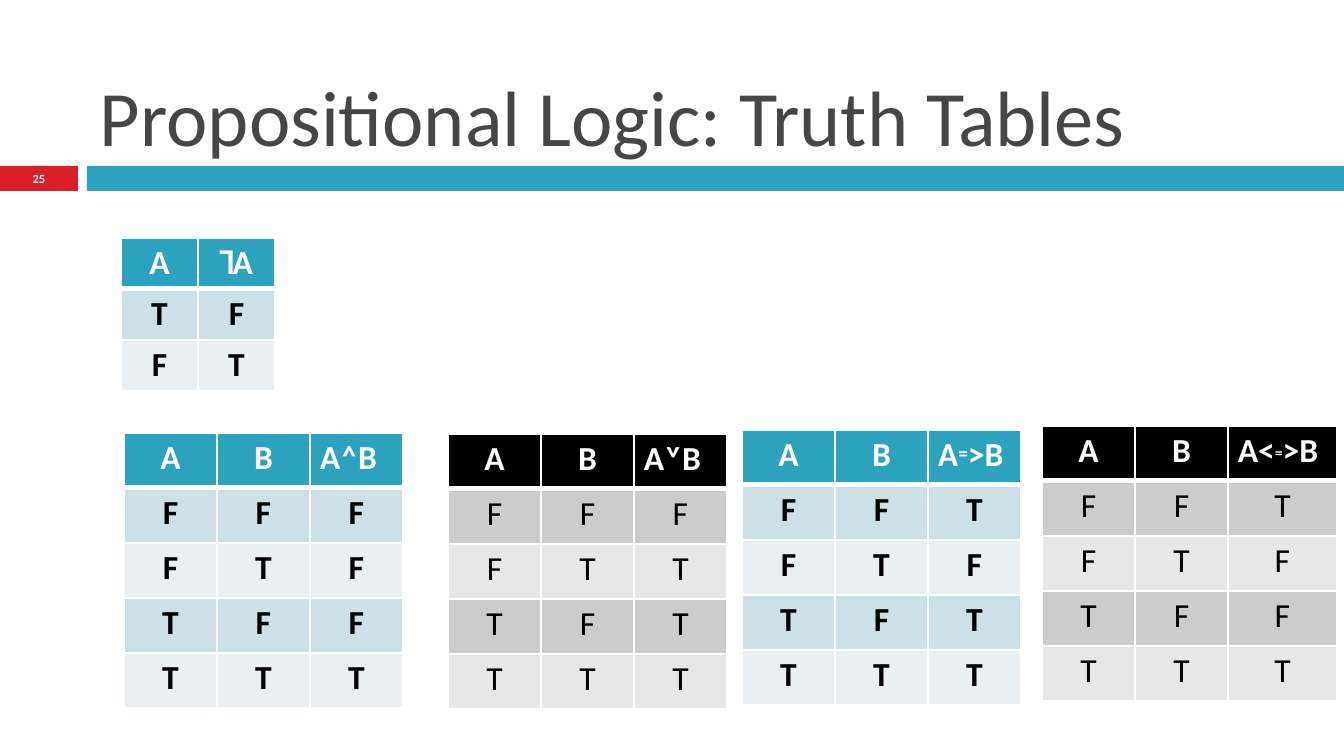
from typing import NamedTuple

from lxml import etree
from pptx import Presentation
from pptx.dml.color import RGBColor
from pptx.enum.shapes import MSO_SHAPE
from pptx.enum.text import MSO_ANCHOR, PP_ALIGN
from pptx.oxml.ns import qn
from pptx.util import Emu, Pt

RECTANGLE = MSO_SHAPE.RECTANGLE
LEFT, CENTER = PP_ALIGN.LEFT, PP_ALIGN.CENTER
BOTTOM, MIDDLE = MSO_ANCHOR.BOTTOM, MSO_ANCHOR.MIDDLE

FONT = "Calibri"
WHITE = RGBColor(0xFF, 0xFF, 0xFF)
BLACK = RGBColor(0x00, 0x00, 0x00)
TITLE_GRAY = RGBColor(0x46, 0x46, 0x46)
RED = RGBColor(0xDA, 0x1F, 0x28)
TEAL = RGBColor(0x2D, 0xA2, 0xBF)
TEAL_BAND = RGBColor(0xCD, 0xE0, 0xE8)
TEAL_PALE = RGBColor(0xE8, 0xF0, 0xF4)
GRAY_BAND = RGBColor(0xCC, 0xCC, 0xCC)
GRAY_PALE = RGBColor(0xE7, 0xE7, 0xE7)

EMU_PER_PX = 914400 / 134.4
PAD_X, PAD_Y = 10, 5


class Box(NamedTuple):
    left: int
    top: int
    width: int
    height: int


class Piece(NamedTuple):
    text: str
    size: float = 18
    raised: bool = False


class Theme(NamedTuple):
    header: RGBColor
    bands: tuple[RGBColor, RGBColor]
    bold: bool


class TruthTable(NamedTuple):
    left: int
    top: int
    columns: tuple[int, ...]
    row_height: int
    theme: Theme
    inputs: str
    formula: tuple[Piece, ...]
    formula_align: PP_ALIGN
    rows: tuple[str, ...]


TEAL_THEME = Theme(TEAL, (TEAL_BAND, TEAL_PALE), True)
BLACK_THEME = Theme(BLACK, (GRAY_BAND, GRAY_PALE), False)
THREE_COLUMNS = (93, 93, 93)

TRUTH_TABLES = (
    TruthTable(121, 238, (77, 77), 51, TEAL_THEME, "A",
               (Piece("˥A"),), CENTER, ("TF", "FT")),
    TruthTable(124, 433, THREE_COLUMNS, 55, TEAL_THEME, "AB",
               (Piece("A˄B"),), LEFT, ("FFF", "FTF", "TFF", "TTT")),
    TruthTable(448, 434, THREE_COLUMNS, 55, BLACK_THEME, "AB",
               (Piece("A˅B"),), LEFT, ("FFF", "FTT", "TFT", "TTT")),
    TruthTable(742, 430, THREE_COLUMNS, 55, TEAL_THEME, "AB",
               (Piece("A"), Piece("=", raised=True), Piece(">B")),
               LEFT, ("FFT", "FTF", "TFT", "TTT")),
    TruthTable(1042, 426, (93, 93, 109), 55, BLACK_THEME, "AB",
               (Piece("A<"), Piece("=", 14, True), Piece(">B")),
               LEFT, ("FFT", "FTF", "TFF", "TTT")),
)


def px(length: float) -> Emu:
    return Emu(round(length * EMU_PER_PX))


def place(box: Box) -> list[Emu]:
    return [px(length) for length in box]


def write(paragraph, pieces: tuple[Piece, ...], color: RGBColor,
          bold: bool, align: PP_ALIGN) -> None:
    paragraph.alignment = align
    for piece in pieces:
        run = paragraph.add_run()
        run.text = piece.text
        run.font.name = FONT
        run.font.size = Pt(piece.size)
        run.font.bold = bold
        run.font.color.rgb = color
        if piece.raised:
            run._r.get_or_add_rPr().set("baseline", "18000")


def add_bar(slide, box: Box, color: RGBColor) -> None:
    bar = slide.shapes.add_shape(RECTANGLE, *place(box))
    bar.shadow.inherit = False
    bar.fill.solid()
    bar.fill.fore_color.rgb = color
    bar.line.fill.background()


def add_label(slide, box: Box, piece: Piece, color: RGBColor, bold: bool,
              align: PP_ALIGN, anchor: MSO_ANCHOR, pad_x: int, pad_y: int) -> None:
    frame = slide.shapes.add_textbox(*place(box)).text_frame
    frame.word_wrap = True
    frame.vertical_anchor = anchor
    frame.margin_left = frame.margin_right = px(pad_x)
    frame.margin_top = frame.margin_bottom = px(pad_y)
    write(frame.paragraphs[0], (piece,), color, bold, align)


def add_borders(cell, top: int, bottom: int) -> None:
    """Give a cell white borders; widths are in points."""
    properties = cell._tc.get_or_add_tcPr()
    for side, width in (("L", 1), ("R", 1), ("T", top), ("B", bottom)):
        line = etree.SubElement(properties, qn(f"a:ln{side}"), w=str(Pt(width)))
        fill = etree.SubElement(line, qn("a:solidFill"))
        etree.SubElement(fill, qn("a:srgbClr"), val=str(WHITE))


def add_truth_table(slide, spec_table: TruthTable) -> None:
    columns, theme = spec_table.columns, spec_table.theme
    header = [(Piece(name),) for name in spec_table.inputs] + [spec_table.formula]
    body = [[(Piece(value),) for value in row] for row in spec_table.rows]
    grid = [header] + body
    box = Box(spec_table.left, spec_table.top, sum(columns),
              spec_table.row_height * len(grid))
    table = slide.shapes.add_table(len(grid), len(columns), *place(box)).table
    for column, width in zip(table.columns, columns):
        column.width = px(width)

    for r, row in enumerate(grid):
        table.rows[r].height = px(spec_table.row_height)
        is_header = r == 0
        for c, pieces in enumerate(row):
            cell = table.cell(r, c)
            cell.margin_left = cell.margin_right = px(PAD_X)
            cell.margin_top = cell.margin_bottom = px(PAD_Y)
            add_borders(cell, 3 if r == 1 else 1, 3 if is_header else 1)
            cell.fill.solid()
            cell.fill.fore_color.rgb = theme.header if is_header else theme.bands[(r - 1) % 2]
            is_formula = is_header and c == len(columns) - 1
            write(cell.text_frame.paragraphs[0], pieces,
                  WHITE if is_header else BLACK, is_header or theme.bold,
                  spec_table.formula_align if is_formula else CENTER)


def main() -> None:
    deck = Presentation()
    deck.slide_width, deck.slide_height = px(1344), px(756)
    slide = deck.slides.add_slide(deck.slide_layouts[6])

    # Header bars, title and slide number
    number_box = Box(0, 166, 78, 25)
    add_bar(slide, number_box, RED)
    add_bar(slide, Box(87, 166, 1257, 25), TEAL)
    add_label(slide, Box(90, 17, 1199, 148), Piece("Propositional Logic: Truth Tables", 42),
              TITLE_GRAY, False, LEFT, BOTTOM, PAD_X, 3)
    add_label(slide, number_box, Piece("25", 6.7), WHITE, True, CENTER, MIDDLE, 0, 0)

    # Truth tables
    for truth_table in TRUTH_TABLES:
        add_truth_table(slide, truth_table)

    deck.save("out.pptx")


if __name__ == "__main__":
    main()
